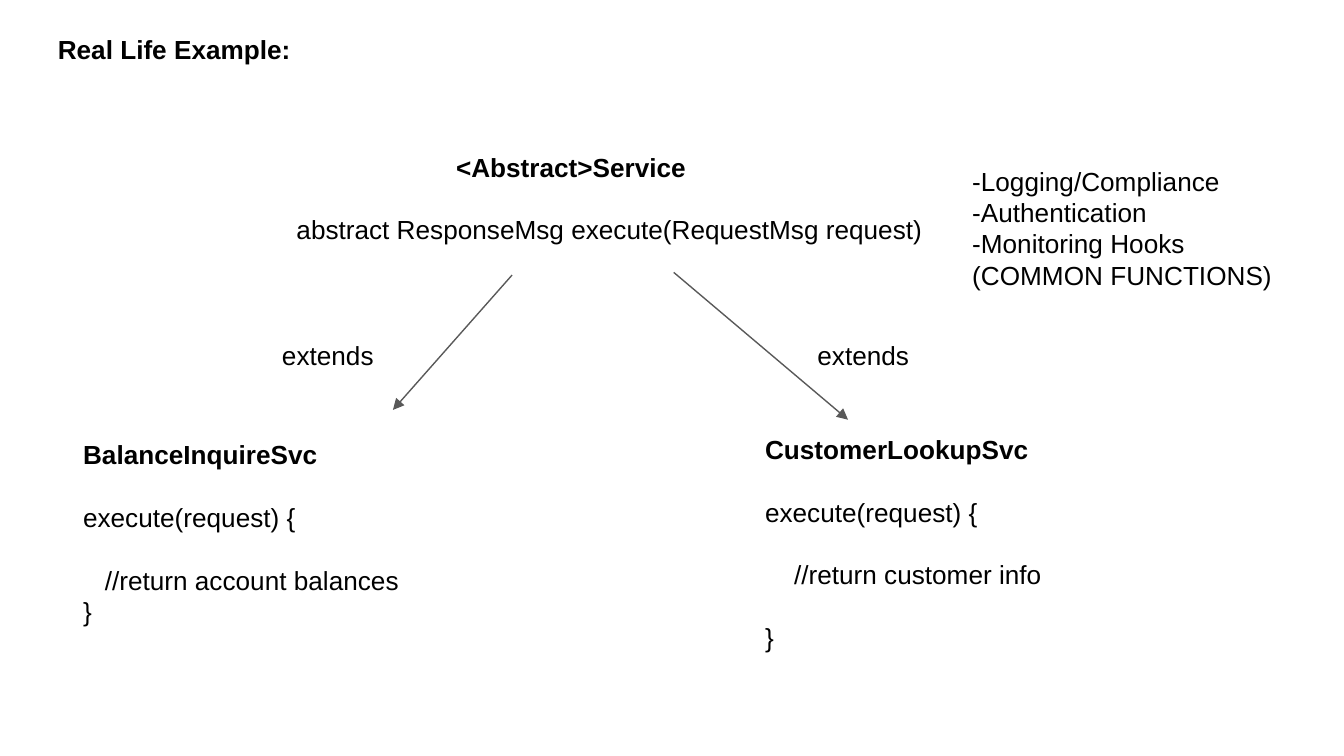
from dataclasses import dataclass

import lxml.etree
import pptx
import pptx.dml.color
import pptx.enum.shapes
import pptx.enum.text
import pptx.oxml.ns
import pptx.util

COLORS = {"text": "000000", "arrow": "595959", "background": "FFFFFF"}
FONT = "Arial"
TEXT_SIZE = 14
LINE_PITCH = 16.8
COLUMNS, ROWS = 100, 56.25
CELL = 0.1  # inches, both across and down


@dataclass(frozen=True)
class Line:
    text: str
    bold: bool = False
    indent: float = 0  # columns
    blank_before: bool = False


@dataclass(frozen=True)
class Block:
    """A group of text lines, placed in grid columns and rows."""
    left: float
    top: float
    width: float
    height: float
    lines: tuple[Line, ...]


@dataclass(frozen=True)
class Arrow:
    start: tuple[float, float]
    end: tuple[float, float]


TITLE = Block(3.3, 1.5, 49, 4.4, (Line("Real Life Example:", bold=True),))

BLOCKS = (
    Block(20, 10.23, 54.3, 9.1, (
        Line("<Abstract>Service", bold=True, indent=12.95),
        Line("abstract ResponseMsg execute(RequestMsg request)", indent=1.08, blank_before=True),
    )),
    Block(5.2, 31.63, 39.7, 16.2, (
        Line("BalanceInquireSvc", bold=True),
        Line("execute(request) {", blank_before=True),
        Line("//return account balances", indent=1.62, blank_before=True),
        Line("}"),
    )),
    Block(55.94, 31.24, 42.9, 18.5, (
        Line("CustomerLookupSvc", bold=True),
        Line("execute(request) {", blank_before=True),
        Line("//return customer info", indent=2.16, blank_before=True),
        Line("}", blank_before=True),
    )),
    Block(71.35, 11.27, 26.9, 11.4, (
        Line("-Logging/Compliance"),
        Line("-Authentication"),
        Line("-Monitoring Hooks"),
        Line("(COMMON FUNCTIONS)"),
    )),
    *(Block(left, 24.24, 10.3, 4.4, (Line("extends"),)) for left in (20, 59.84)),
)

ARROWS = (
    Arrow((38.1, 20.47), (29.24, 30.5)),
    Arrow((50.13, 20.27), (63.1, 31.23)),
)


def cells(count: float) -> pptx.util.Length:
    return pptx.util.Inches(count * CELL)


def color(name: str) -> pptx.dml.color.RGBColor:
    return pptx.dml.color.RGBColor.from_string(COLORS[name])


def write_text(paragraph, text: str, *, bold: bool = False, indent: float = 0,
               space_before: float = 0) -> None:
    paragraph.alignment = pptx.enum.text.PP_ALIGN.LEFT
    paragraph.line_spacing = pptx.util.Pt(LINE_PITCH)
    paragraph.space_before = pptx.util.Pt(space_before)
    paragraph.space_after = pptx.util.Pt(0)
    if indent:
        properties = paragraph._p.get_or_add_pPr()
        properties.set("marL", str(cells(indent)))
        properties.set("indent", "0")
    run = paragraph.add_run()
    run.text = text
    run.font.name = FONT
    run.font.size = pptx.util.Pt(TEXT_SIZE)
    run.font.bold = bold
    run.font.color.rgb = color("text")


def fill_block(shape, block: Block) -> None:
    """Place a text shape and write the lines of its block."""
    shape.left, shape.top = cells(block.left), cells(block.top)
    shape.width, shape.height = cells(block.width), cells(block.height)
    frame = shape.text_frame
    frame.word_wrap = True
    frame.auto_size = pptx.enum.text.MSO_AUTO_SIZE.NONE
    frame.vertical_anchor = pptx.enum.text.MSO_ANCHOR.TOP
    frame.margin_left = frame.margin_right = cells(1)
    frame.margin_top = frame.margin_bottom = cells(1)
    for index, line in enumerate(block.lines):
        paragraph = frame.add_paragraph() if index else frame.paragraphs[0]
        write_text(paragraph, line.text, bold=line.bold, indent=line.indent,
                   space_before=LINE_PITCH if line.blank_before else 0)


def add_arrow(slide, arrow: Arrow) -> None:
    connector = slide.shapes.add_connector(
        pptx.enum.shapes.MSO_CONNECTOR.STRAIGHT,
        *map(cells, arrow.start), *map(cells, arrow.end))
    connector.line.color.rgb = color("arrow")
    connector.line.width = pptx.util.Pt(0.75)
    qualified = pptx.oxml.ns.qn
    lxml.etree.SubElement(connector.line._get_or_add_ln(), qualified("a:tailEnd"),
                          type="triangle", w="med", len="med")
    lxml.etree.SubElement(connector._element.spPr, qualified("a:effectLst"))


def main() -> None:
    presentation = pptx.Presentation()
    presentation.slide_width, presentation.slide_height = cells(COLUMNS), cells(ROWS)
    title_only = presentation.slide_layouts.get_by_name("Title Only")
    slide = presentation.slides.add_slide(title_only)
    slide.background.fill.solid()
    slide.background.fill.fore_color.rgb = color("background")

    fill_block(slide.shapes.title, TITLE)
    for block in BLOCKS:
        fill_block(slide.shapes.add_textbox(0, 0, 0, 0), block)
    for arrow in ARROWS:
        add_arrow(slide, arrow)
    presentation.save("out.pptx")


if __name__ == "__main__":
    main()
